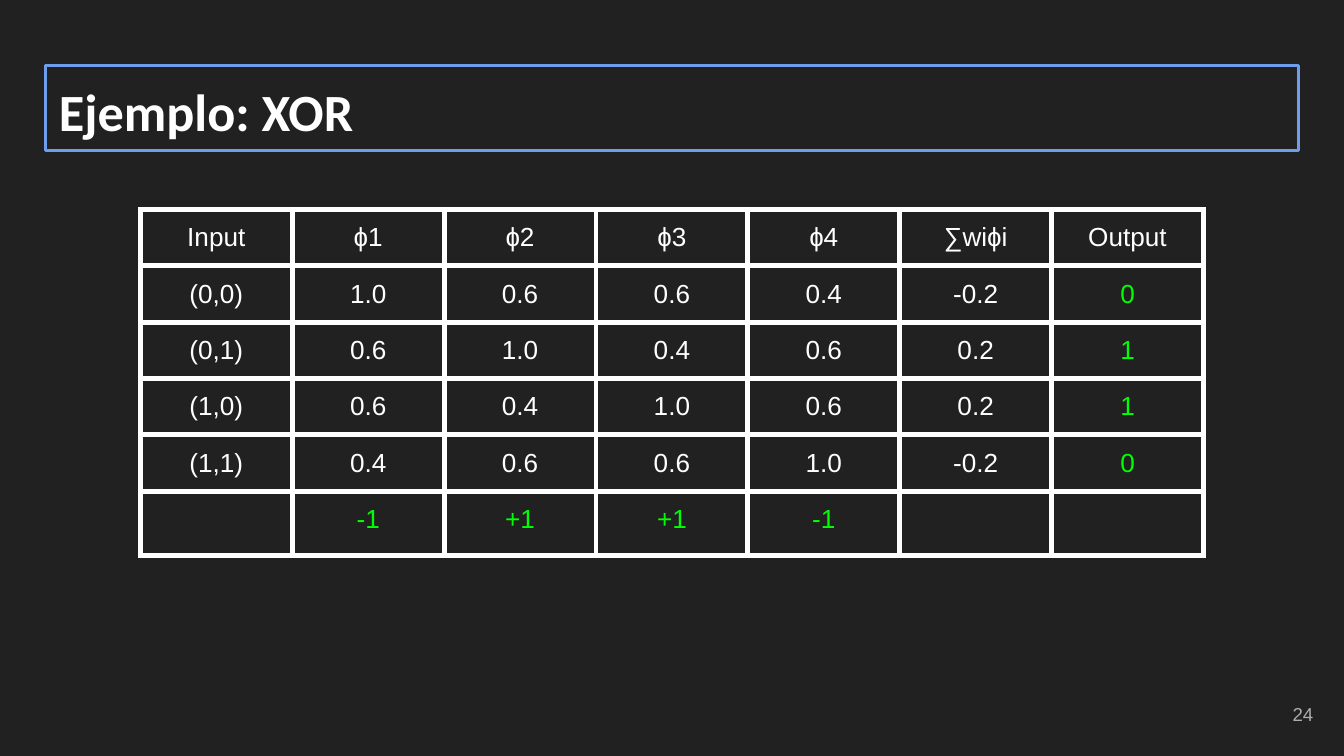
from lxml import etree
from pptx import Presentation
from pptx.dml.color import RGBColor
from pptx.enum.shapes import MSO_SHAPE
from pptx.enum.text import MSO_ANCHOR, PP_ALIGN
from pptx.oxml.ns import qn
from pptx.util import Inches, Pt

RECTANGLE = MSO_SHAPE.RECTANGLE
TOP, MIDDLE = MSO_ANCHOR.TOP, MSO_ANCHOR.MIDDLE
LEFT, CENTER, RIGHT = PP_ALIGN.LEFT, PP_ALIGN.CENTER, PP_ALIGN.RIGHT
WHITE, GREEN, GRAY, BLUE, DARK = "FFFFFF", "00FF00", "ADADAD", "6D9EEB", "212121"


def color(hex_string):
    return RGBColor.from_string(hex_string)


def write(frame, text, size=14, font="Arial", fill=WHITE, bold=False,
          align=LEFT, anchor=TOP):
    frame.word_wrap = True
    frame.vertical_anchor = anchor
    frame.margin_left = frame.margin_right = Inches(0.1)
    frame.margin_top = frame.margin_bottom = Inches(0.1)
    paragraph = frame.paragraphs[0]
    paragraph.text = text
    paragraph.alignment = align
    paragraph.font.size = Pt(size)
    paragraph.font.name = font
    paragraph.font.bold = bold
    paragraph.font.color.rgb = color(fill)


# Dark 16:9 slide
presentation = Presentation()
presentation.slide_width = Inches(10)
presentation.slide_height = presentation.slide_width * 9 // 16
slide = presentation.slides.add_slide(presentation.slide_layouts[6])
slide.background.fill.solid()
slide.background.fill.fore_color.rgb = color(DARK)

# Title in a blue frame
title = slide.shapes.add_shape(RECTANGLE, Inches(0.34), Inches(0.49),
                               Inches(9.32), Inches(0.63))
title.shadow.inherit = False
title.fill.background()
title.line.color.rgb = color(BLUE)
title.line.width = Pt(1.5)
write(title.text_frame, "Ejemplo: XOR", size=28, font="Calibri", bold=True)

# XOR table: activations, weighted sum and output, with the weights below
xor_rows = [
    ["Input", "ɸ1", "ɸ2", "ɸ3", "ɸ4", "∑wiɸi", "Output"],
    ["(0,0)", "1.0", "0.6", "0.6", "0.4", "-0.2", "0"],
    ["(0,1)", "0.6", "1.0", "0.4", "0.6", "0.2", "1"],
    ["(1,0)", "0.6", "0.4", "1.0", "0.6", "0.2", "1"],
    ["(1,1)", "0.4", "0.6", "0.6", "1.0", "-0.2", "0"],
    ["", "-1", "+1", "+1", "-1", "", ""],
]
row_count, column_count = len(xor_rows), len(xor_rows[0])
column_width, row_height, weights_height = Inches(1.13), Pt(30), Inches(0.48)
table_width = column_count * column_width
table = slide.shapes.add_table(
    row_count, column_count, (presentation.slide_width - table_width) // 2,
    Inches(1.56), table_width,
    row_height * (row_count - 1) + weights_height).table
table.first_row = table.horz_banding = False
for column in table.columns:
    column.width = column_width
for row in table.rows:
    row.height = row_height
table.rows[row_count - 1].height = weights_height

for r, values in enumerate(xor_rows):
    for c, value in enumerate(values):
        cell = table.cell(r, c)
        is_weight = r == row_count - 1
        is_output = r > 0 and c == column_count - 1
        write(cell.text_frame, value, align=CENTER,
              fill=GREEN if is_weight or is_output else WHITE)
        cell.margin_left = cell.margin_right = Inches(0.1)
        cell.margin_top = cell.margin_bottom = Inches(0.1)

        # White borders go before the cell fill
        properties = cell._tc.get_or_add_tcPr()
        for side in ("a:lnL", "a:lnR", "a:lnT", "a:lnB"):
            border = etree.SubElement(properties, qn(side), w=str(Pt(3)))
            border_fill = etree.SubElement(border, qn("a:solidFill"))
            etree.SubElement(border_fill, qn("a:srgbClr"), val=WHITE)
        cell.fill.background()

# Slide number
slide_number = slide.shapes.add_textbox(Inches(9.27), Inches(5.1),
                                        Inches(0.6), Inches(0.43))
write(slide_number.text_frame, "24", size=10, fill=GRAY, align=RIGHT, anchor=MIDDLE)

presentation.save("out.pptx")
